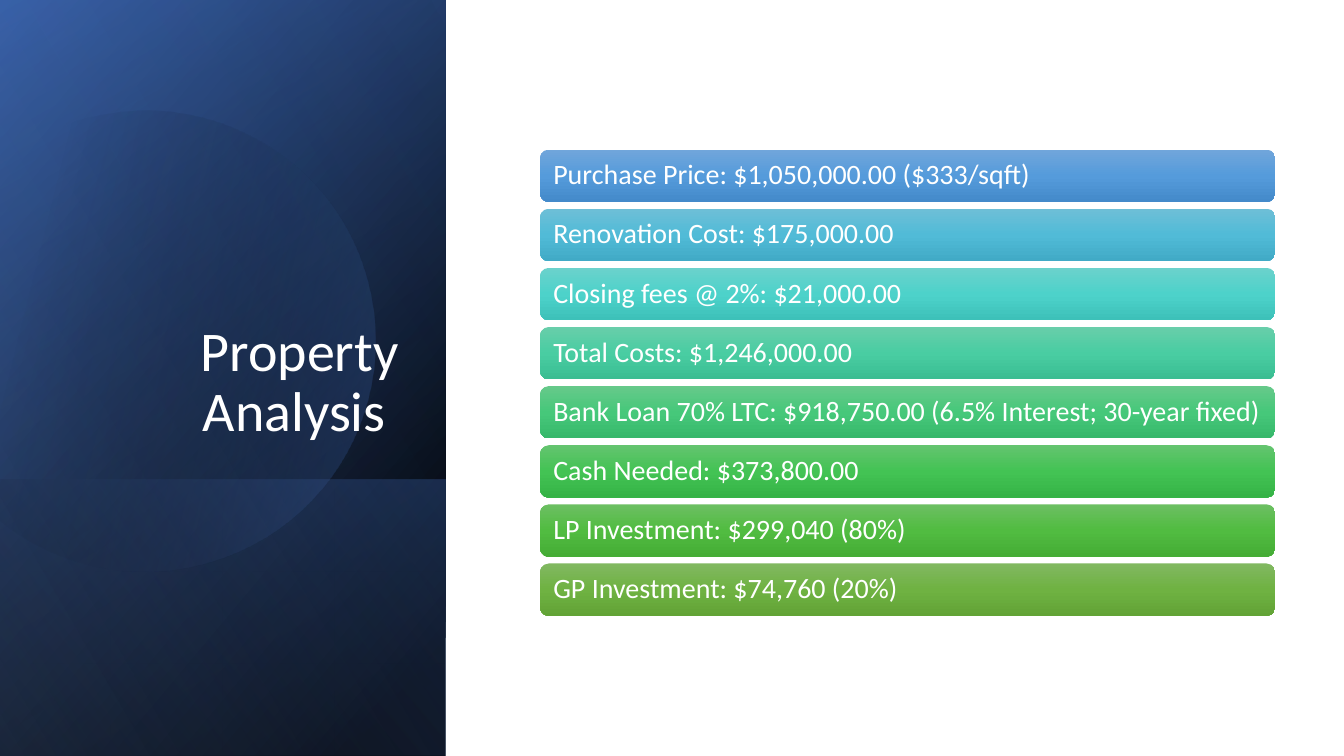
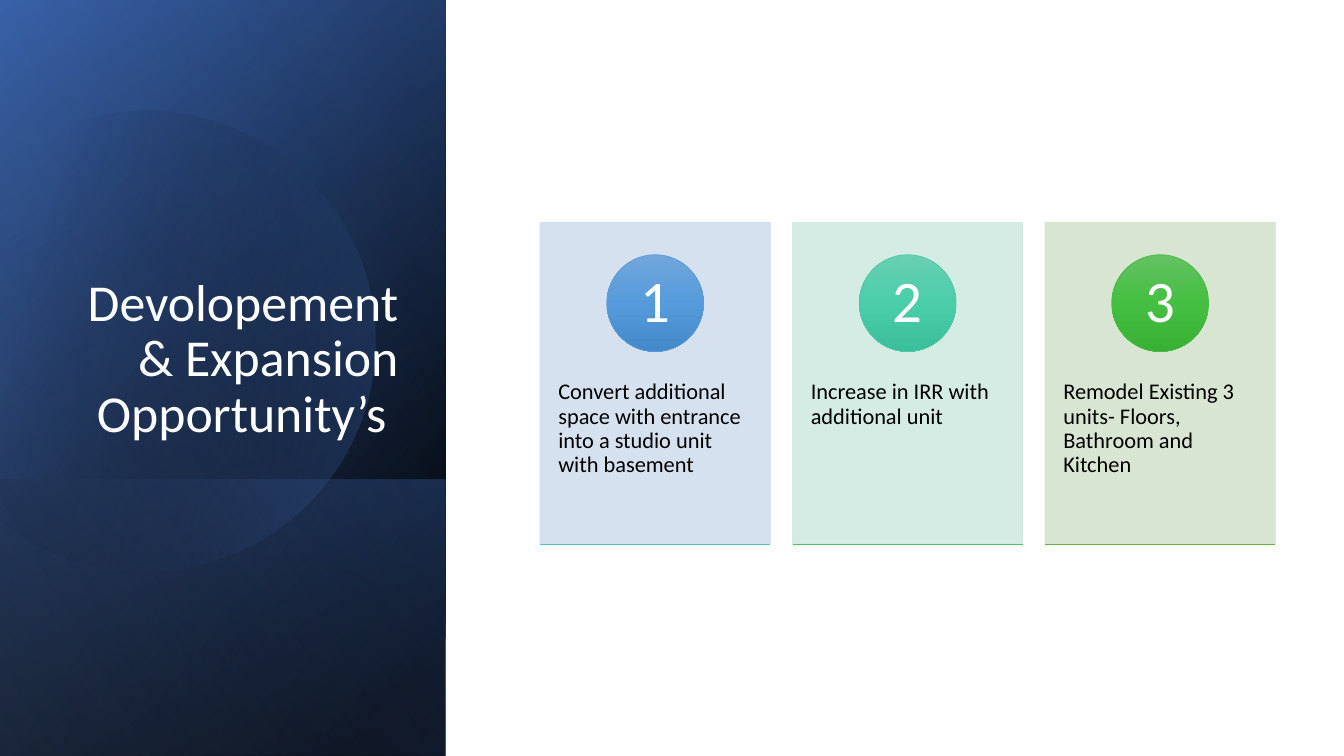
from math import cos, sin, radians

from lxml.etree import SubElement
from pptx import Presentation
from pptx.dml.color import RGBColor as RGB
from pptx.enum.shapes import MSO_CONNECTOR as LINE, MSO_SHAPE as SHAPE
from pptx.enum.text import MSO_ANCHOR as ANCHOR, PP_ALIGN as ALIGN
from pptx.oxml import parse_xml
from pptx.oxml.ns import nsdecls, qn
from pptx.util import Cm, Pt

# Colours
C = {
    "white": "FFFFFF", "black": "000000",
    "navy": "2F5597", "blue": "4472C4", "haze": "8FAADC",
    "card_blue": "D2DEEF", "card_mint": "D0EAE1", "card_green": "D5E3CF",
    "edge_blue": "5B9BD5", "edge_mint": "50C8A7", "edge_green": "4ABA46",
    "rule_cyan": "55C3CF", "rule_jade": "4BC174", "rule_olive": "70AD47",
}
# Glossy fills: top, middle, bottom
GLOSS = {
    "sky": ("71A6DB", "559BDB", "448ACA"),
    "cyan": ("6EBFD7", "51BBD7", "41AAC6"),
    "teal": ("6BD2CC", "4DD2CA", "3DC1B9"),
    "mint": ("68CEAA", "49CDA2", "3ABD92"),
    "jade": ("66C98A", "46C87A", "37B86B"),
    "green": ("64C46F", "43C354", "35B346"),
    "leaf": ("6CBF62", "51BC41", "45AC35"),
    "olive": ("81B861", "6FB242", "62A336"),
    "aqua": ("69CFB1", "4ACEAA", "3BBE9A"),
    "grass": ("64C162", "44BF41", "37B034"),
}

# Layout, in centimetres
SLIDE_W, SLIDE_H = 33.87, 19.05
PANEL_W, BAND_Y = 11.23, 12.09
BODY_X, BODY_W = 13.61, 18.53

# Disc outline in inches: start, then curves (three points) and lines (one)
DISC_START = 1.49 + 1.1j
DISC = [
    (2.46 + 1.12j, 3.35 + 1.77j, 3.63 + 2.75j),
    (3.98 + 3.97j, 3.28 + 5.23j, 2.07 + 5.58j),
    (1.31 + 5.8j, 0.53 + 5.61j, -0.03 + 5.14j),
    (-0.15 + 5.03j,), (-0.15 + 1.75j,), (0 + 1.61j,),
    (0.23 + 1.42j, 0.5 + 1.28j, 0.8 + 1.19j),
    (1.03 + 1.13j, 1.26 + 1.1j, 1.49 + 1.1j),
]
DISC_CENTRE, DISC_TILT = 1.585 + 3.345j, 16.1


def disc_points(steps=24):
    """Trace the disc as points, turned upright about its centre."""
    points = [DISC_START]
    for part in DISC:
        if len(part) == 1:
            points.append(part[0])
            continue
        a, (b, c, d) = points[-1], part
        for t in (i / steps for i in range(1, steps + 1)):
            u = 1 - t
            points.append(u**3 * a + 3 * u * u * t * b + 3 * u * t * t * c + t**3 * d)
    turn = complex(cos(radians(DISC_TILT)), sin(radians(DISC_TILT)))
    upright = [DISC_CENTRE + (p - DISC_CENTRE) * turn for p in points]
    return [(Cm(p.real * 2.54), Cm(p.imag * 2.54)) for p in upright]


class Deck:
    font = "Calibri"
    spacing = 0.9

    def __init__(self):
        self.prs = Presentation()
        self.prs.slide_width, self.prs.slide_height = Cm(SLIDE_W), Cm(SLIDE_H)

    def new_slide(self, title, size):
        self.slide = self.prs.slides.add_slide(self.prs.slide_layouts[6])
        self.side_panel()
        tb = self.slide.shapes.add_textbox(Cm(1.63), Cm(4.67), Cm(8.66), Cm(6.65))
        self.text(tb, title, size, align=ALIGN.RIGHT, anchor=ANCHOR.BOTTOM)

    def shape(self, kind, x, y, w, h):
        s = self.slide.shapes.add_shape(kind, Cm(x), Cm(y), Cm(w), Cm(h))
        s.shadow.inherit = False
        s.line.fill.background()
        return s

    def gradient(self, s, angle, stops):
        """Fill with (position %, colour, opacity %) stops."""
        gs = "".join(
            f'<a:gs pos="{pos * 1000}"><a:srgbClr val="{colour}">'
            f'<a:alpha val="{alpha * 1000}"/></a:srgbClr></a:gs>'
            for pos, colour, alpha in stops)
        s.fill.background()
        sp_pr = s.element.spPr
        sp_pr.replace(sp_pr.find(qn("a:noFill")), parse_xml(
            f'<a:gradFill {nsdecls("a")} rotWithShape="1"><a:gsLst>{gs}</a:gsLst>'
            f'<a:lin ang="{angle * 60000}" scaled="0"/></a:gradFill>'))

    def gloss(self, s, name):
        self.gradient(s, 90, [(pos, c, 100) for pos, c in zip((0, 50, 100), GLOSS[name])])

    def text(self, s, text, size, colour="white", align=ALIGN.LEFT,
             anchor=ANCHOR.MIDDLE, insets=(0.25, 0.13, 0.25, 0.13)):
        tf = s.text_frame
        left, top, right, bottom = map(Cm, insets)
        frame = {"word_wrap": True, "vertical_anchor": anchor, "margin_left": left,
                 "margin_top": top, "margin_right": right, "margin_bottom": bottom}
        p = tf.paragraphs[0]
        r = p.add_run()
        r.text = text
        r.font.color.rgb = RGB.from_string(C[colour])
        for target, values in (
                (tf, frame),
                (p, {"alignment": align, "line_spacing": self.spacing}),
                (r.font, {"name": self.font, "size": Pt(size)})):
            for key, value in values.items():
                setattr(target, key, value)

    def layer(self, y, h, angle, stops):
        """Panel layer: a mirrored rectangle on its side."""
        shift = (h - PANEL_W) / 2
        s = self.shape(SHAPE.RECTANGLE, -shift, y + shift, h, PANEL_W)
        s.rotation = 90
        s.element.spPr.find(qn("a:xfrm")).set("flipH", "1")
        self.gradient(s, angle, stops)

    def disc(self):
        points = disc_points()
        fb = self.slide.shapes.build_freeform(*points[0])
        fb.add_line_segments(points[1:], close=True)
        s = fb.convert_to_shape()
        s.shadow.inherit = False
        s.line.fill.background()
        s.rotation = 360 - DISC_TILT
        self.gradient(s, 30, [(29, C["black"], 0), (100, C["blue"], 43)])

    def side_panel(self):
        black, blue = C["black"], C["blue"]
        self.layer(0, SLIDE_H, 50, [(8, black, 100), (100, C["navy"], 100)])
        self.layer(0, SLIDE_H, 30, [(0, black, 0), (99, blue, 46)])
        self.layer(BAND_Y, SLIDE_H - BAND_Y, 130, [(2, blue, 29), (100, black, 30)])
        self.disc()
        self.layer(0, SLIDE_H, 120, [(0, black, 0), (99, C["haze"], 11)])

    def bar(self, y, h, text, fill):
        s = self.shape(SHAPE.ROUNDED_RECTANGLE, BODY_X, y, BODY_W, h)
        self.gloss(s, fill)
        self.text(s, text, 20, insets=(0.27, 0.2, 0.27, 0.2))

    def outline(self, s, colour):
        s.line.color.rgb = RGB.from_string(C[colour])
        s.line.width = Pt(0.5)

    def card(self, x, y, w, h, text, colour):
        s = self.shape(SHAPE.RECTANGLE, x, y, w, h)
        s.fill.solid()
        s.fill.fore_color.rgb = RGB.from_string(C[colour])
        self.outline(s, colour)
        for clr in s.element.spPr.iter(qn("a:srgbClr")):
            SubElement(clr, qn("a:alpha")).set("val", "90000")
        self.text(s, text, 16, "black", anchor=ANCHOR.TOP, insets=(0.46, 3.98, 0.46, 0.9))

    def badge(self, x, y, d, text, fill, edge):
        s = self.shape(SHAPE.OVAL, x, y, d, d)
        self.gloss(s, fill)
        self.outline(s, edge)
        self.text(s, text, 42, align=ALIGN.CENTER, insets=(0.18, 0.03, 0.18, 0.03))

    def rule(self, x, y, w, colour):
        s = self.slide.shapes.add_connector(LINE.STRAIGHT, Cm(x), Cm(y), Cm(x + w), Cm(y))
        self.outline(s, colour)
        SubElement(s.element.spPr, qn("a:effectLst"))


def property_analysis(deck):
    deck.new_slide("Property Analysis ", 40)
    bars = [
        ("Purchase Price: $1,050,000.00 ($333/sqft)", "sky"),
        ("Renovation Cost: $175,000.00", "cyan"),
        ("Closing fees @ 2%: $21,000.00", "teal"),
        ("Total Costs: $1,246,000.00", "mint"),
        ("Bank Loan 70% LTC: $918,750.00 (6.5% Interest; 30-year fixed)", "jade"),
        ("Cash Needed: $373,800.00", "green"),
        ("LP Investment: $299,040 (80%)", "leaf"),
        ("GP Investment: $74,760 (20%)", "olive"),
    ]
    top, height, gap = 3.77, 1.32, 0.17
    for i, (text, fill) in enumerate(bars):
        deck.bar(top + i * (height + gap), height, text, fill)


def opportunities(deck):
    deck.new_slide("Devolopement & Expansion Opportunity’s ", 37)
    cards = [
        ("Convert additional space with entrance into a studio unit with basement",
         "card_blue", "sky", "edge_blue", "rule_cyan"),
        ("Increase in IRR with additional unit",
         "card_mint", "aqua", "edge_mint", "rule_jade"),
        ("Remodel Existing 3 units- Floors, Bathroom and Kitchen",
         "card_green", "grass", "edge_green", "rule_olive"),
    ]
    top, height, gap, badge = 5.61, 8.1, 0.56, 2.44
    width = (BODY_W - gap * (len(cards) - 1)) / len(cards)
    for i, (text, colour, fill, edge, rule) in enumerate(cards):
        x = BODY_X + i * (width + gap)
        deck.card(x, top, width, height, text, colour)
        deck.badge(x + (width - badge) / 2, top + 0.81, badge, str(i + 1), fill, edge)
        deck.rule(x, top + height, width, rule)


def main():
    deck = Deck()
    property_analysis(deck)
    opportunities(deck)
    deck.prs.save("out.pptx")


if __name__ == "__main__":
    main()
